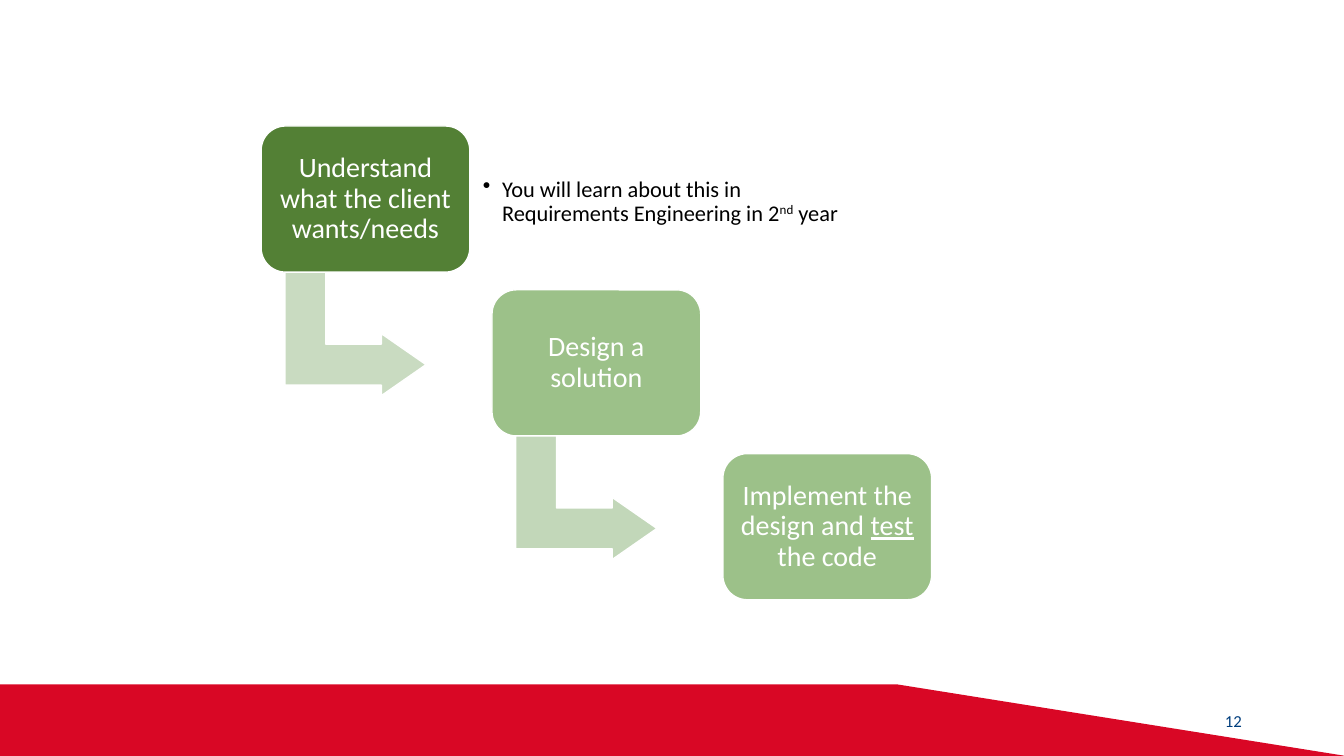
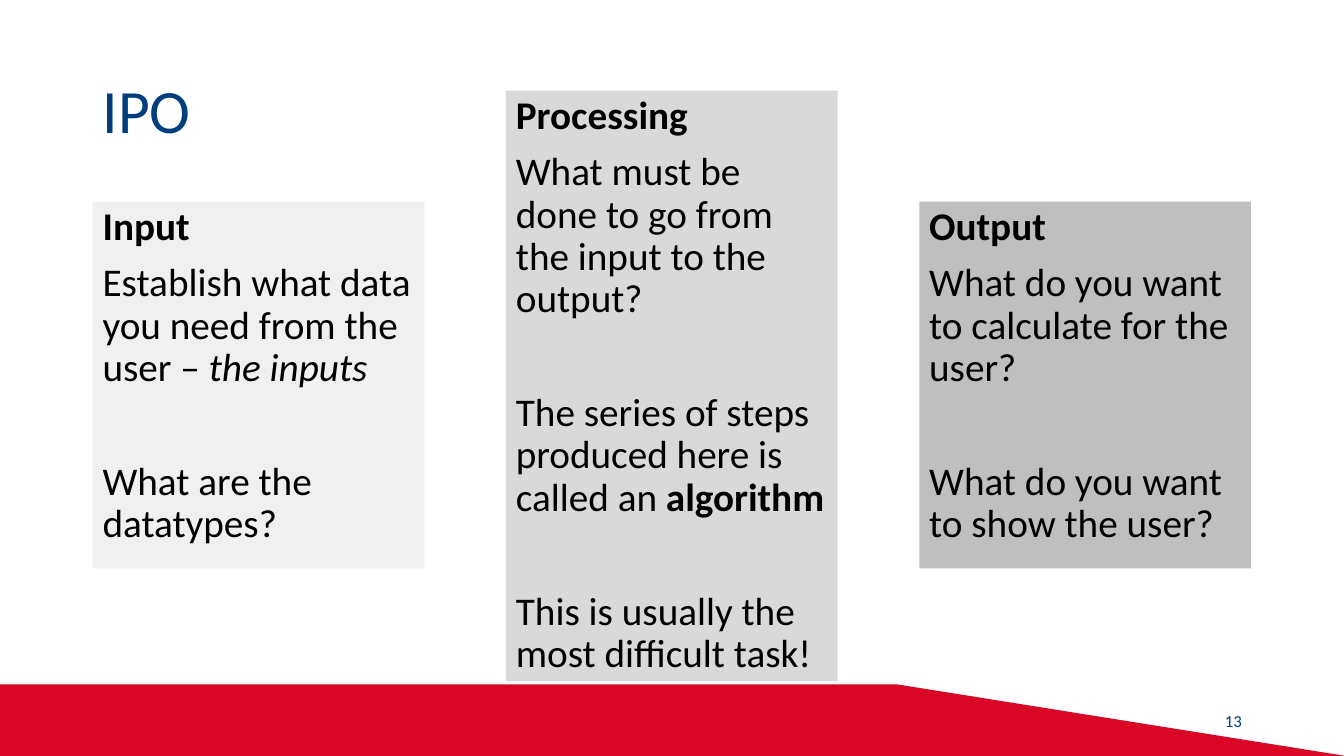
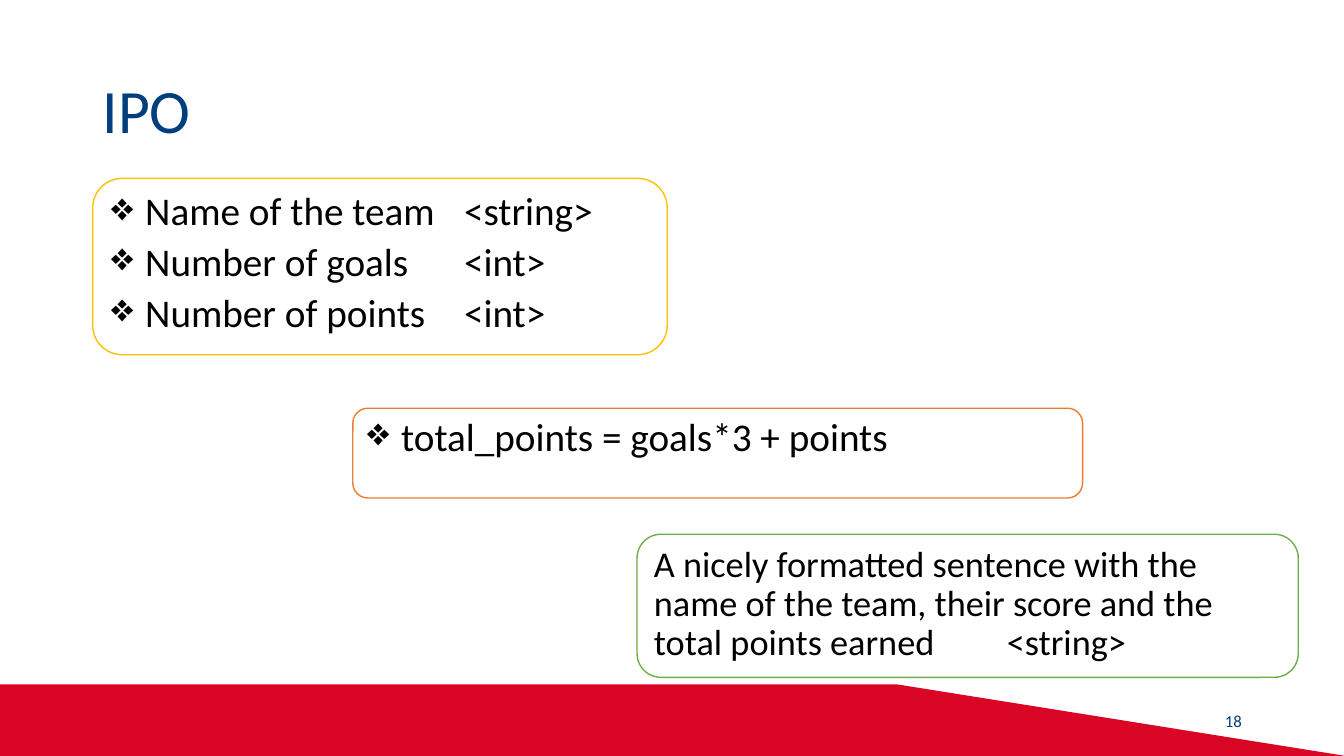
"""Build three slides on understanding a problem and the input-processing-output method."""

from lxml.etree import SubElement
from pptx import Presentation
from pptx.dml.color import RGBColor
from pptx.enum.shapes import MSO_SHAPE
from pptx.enum.text import MSO_ANCHOR, PP_ALIGN
from pptx.oxml.ns import qn
from pptx.util import Inches, Pt

WHITE = RGBColor(0xFF, 0xFF, 0xFF)
BLACK = RGBColor(0x00, 0x00, 0x00)
NAVY = RGBColor(0x00, 0x3E, 0x7D)
RED = RGBColor(0xD9, 0x07, 0x25)
DARK_GREEN = RGBColor(0x53, 0x80, 0x35)
SOFT_GREEN = RGBColor(0x9C, 0xC1, 0x89)
FIRST_ARROW = RGBColor(0xC9, 0xDB, 0xC1)
SECOND_ARROW = RGBColor(0xC2, 0xD7, 0xB9)
PALE_GREY = RGBColor(0xF0, 0xF0, 0xF0)
LIGHT_GREY = RGBColor(0xD9, 0xD9, 0xD9)
MID_GREY = RGBColor(0xBF, 0xBF, 0xBF)
GOLD = RGBColor(0xFF, 0xC0, 0x00)
ORANGE = RGBColor(0xED, 0x7D, 0x31)
LEAF = RGBColor(0x70, 0xAD, 0x47)

FONT = "Calibri"
WIDTH, HEIGHT = Inches(13.33), Inches(7.5)
COLUMN, ROW = WIDTH / 100, HEIGHT / 100
MARGIN = 6.9


def add_panel(page, kind, place, fill, line=None):
    """Add a shape at (left, top, width, height) in columns and rows."""
    left, top, width, height = place
    panel = page.shapes.add_shape(
        kind, int(left * COLUMN), int(top * ROW), int(width * COLUMN), int(height * ROW)
    )
    panel.shadow.inherit = False
    panel.fill.solid()
    panel.fill.fore_color.rgb = fill
    if line is None:
        panel.line.fill.background()
    else:
        panel.line.color.rgb = line
        panel.line.width = Pt(1)
    return panel


def write(box, paragraphs, size=28, color=BLACK, align=PP_ALIGN.LEFT, anchor=MSO_ANCHOR.TOP,
          spacing=0.9, gap=0, late_gap=None, inset=None, bullet=None, indent=0.25):
    """Fill a box with paragraphs, each a list of (text, style) spans."""
    frame = box.text_frame
    frame.word_wrap = True
    frame.vertical_anchor = anchor
    if inset is not None:
        frame.margin_left = frame.margin_right = Inches(inset)
        frame.margin_top = frame.margin_bottom = Inches(inset)
    for number, spans in enumerate(paragraphs):
        para = frame.add_paragraph() if number else frame.paragraphs[0]
        para.alignment = align
        para.line_spacing = spacing
        para.space_before = Pt(late_gap if late_gap and number > 1 else gap)
        if bullet:
            properties = para._p.get_or_add_pPr()
            properties.set("marL", str(Inches(indent)))
            properties.set("indent", str(-Inches(indent)))
            SubElement(properties, qn("a:buChar")).set("char", bullet)
        for text, style in spans:
            span = para.add_run()
            span.text = text
            span.font.name = FONT
            span.font.size = Pt(size)
            span.font.color.rgb = color
            span.font.bold = style == "bold"
            span.font.italic = style == "italic"
            span.font.underline = style == "underline"
            if style == "superscript":
                span._r.get_or_add_rPr().set("baseline", "30000")


deck = Presentation()
deck.slide_width, deck.slide_height = WIDTH, HEIGHT

pages = []
for page_number, title in (("12", None), ("13", "IPO"), ("18", "IPO")):
    page = deck.slides.add_slide(deck.slide_layouts[6])
    pages.append(page)
    outline = page.shapes.build_freeform(0, int(90.53 * ROW))
    corners = ((66.75, 90.53), (100.12, 100), (0, 100))
    outline.add_line_segments([(int(x * COLUMN), int(y * ROW)) for x, y in corners])
    band = outline.convert_to_shape()
    band.shadow.inherit = False
    band.fill.solid()
    band.fill.fore_color.rgb = RED
    band.line.fill.background()
    if title:
        box = page.shapes.add_textbox(
            int(MARGIN * COLUMN), int(5.33 * ROW), int(86.25 * COLUMN), int(19.33 * ROW)
        )
        write(box, [[(title, None)]], size=44, color=NAVY, anchor=MSO_ANCHOR.MIDDLE)
    box = page.shapes.add_textbox(
        int(70.65 * COLUMN), int(92.67 * ROW), int(22.5 * COLUMN), int(5.33 * ROW)
    )
    write(box, [[(page_number, None)]], size=12, color=NAVY, align=PP_ALIGN.RIGHT,
          anchor=MSO_ANCHOR.MIDDLE, spacing=1.0)

steps_page, method_page, example_page = pages

STEP_RIGHT, STEP_DOWN = 17.18, 21.67
steps = (
    ([("Understand what the client wants/needs", None)], DARK_GREEN, FIRST_ARROW),
    ([("Design a solution", None)], SOFT_GREEN, SECOND_ARROW),
    ([("Implement the design and ", None), ("test", "underline"), (" the code", None)],
     SOFT_GREEN, None),
)
for index, (spans, fill, arrow_fill) in enumerate(steps):
    right, down = index * STEP_RIGHT, index * STEP_DOWN
    if arrow_fill:
        arrow = add_panel(steps_page, MSO_SHAPE.BENT_UP_ARROW,
                          (21.83 + right, 34.8 + down, 9.23, 18.67), arrow_fill, WHITE)
        arrow.rotation = 90
        for position, share in enumerate((0.33, 0.25, 0.36)):
            arrow.adjustments[position] = share
    step = add_panel(steps_page, MSO_SHAPE.ROUNDED_RECTANGLE,
                     (19.43 + right, 16.67 + down, 15.53, 19.33), fill, WHITE)
    write(step, [spans], size=20, color=WHITE, align=PP_ALIGN.CENTER,
          anchor=MSO_ANCHOR.MIDDLE, inset=0.08)

note = steps_page.shapes.add_textbox(
    int(35.33 * COLUMN), int(18.93 * ROW), int(29.33 * COLUMN), int(15.6 * ROW)
)
write(note, [[("You will learn about this in Requirements Engineering in 2", None),
              ("nd", "superscript"), (" year", None)]],
      size=16, anchor=MSO_ANCHOR.MIDDLE, inset=0.08, bullet="•", indent=0.19)

stages = (
    (26.67, 48.53, PALE_GREY, [
        [("Input", "bold")],
        [("Establish what data you need from the user – ", None), ("the inputs", "italic")],
        [("What are the datatypes?", None)],
    ]),
    (12, 78.13, LIGHT_GREY, [
        [("Processing", "bold")],
        [("What must be done to go from the input to the output?", None)],
        [("The series of steps produced here is called an ", None), ("algorithm", "bold")],
        [("This is usually the most difficult task!", None)],
    ]),
    (26.67, 48.53, MID_GREY, [
        [("Output", "bold")],
        [("What do you want to calculate for the user?", None)],
        [("What do you want to show the user?", None)],
    ]),
)
for index, (top, height, fill, paragraphs) in enumerate(stages):
    stage = add_panel(method_page, MSO_SHAPE.RECTANGLE,
                      (MARGIN + index * 30.75, top, 24.68, height), fill)
    write(stage, paragraphs, gap=10, late_gap=51)

examples = (
    (MSO_SHAPE.FLOWCHART_ALTERNATE_PROCESS, (MARGIN, 23.6, 42.75, 23.33), GOLD, 28, "❖",
     (" Name of the team \t<string>", " Number of goals \t<int>", " Number of points \t<int>")),
    (MSO_SHAPE.FLOWCHART_ALTERNATE_PROCESS, (26.25, 54, 54.3, 11.87), ORANGE, 28, "❖",
     (" total_points = goals*3 + points",)),
    (MSO_SHAPE.ROUNDED_RECTANGLE, (47.4, 70.67, 49.2, 18.93), LEAF, 25.9, None,
     ("A nicely formatted sentence with the name of the team, their score and the "
      "total points earned\t\t<string>",)),
)
for kind, place, line, size, bullet, lines in examples:
    example = add_panel(example_page, kind, place, WHITE, line)
    write(example, [[(text, None)] for text in lines], size=size, gap=6, bullet=bullet)

deck.save("out.pptx")
